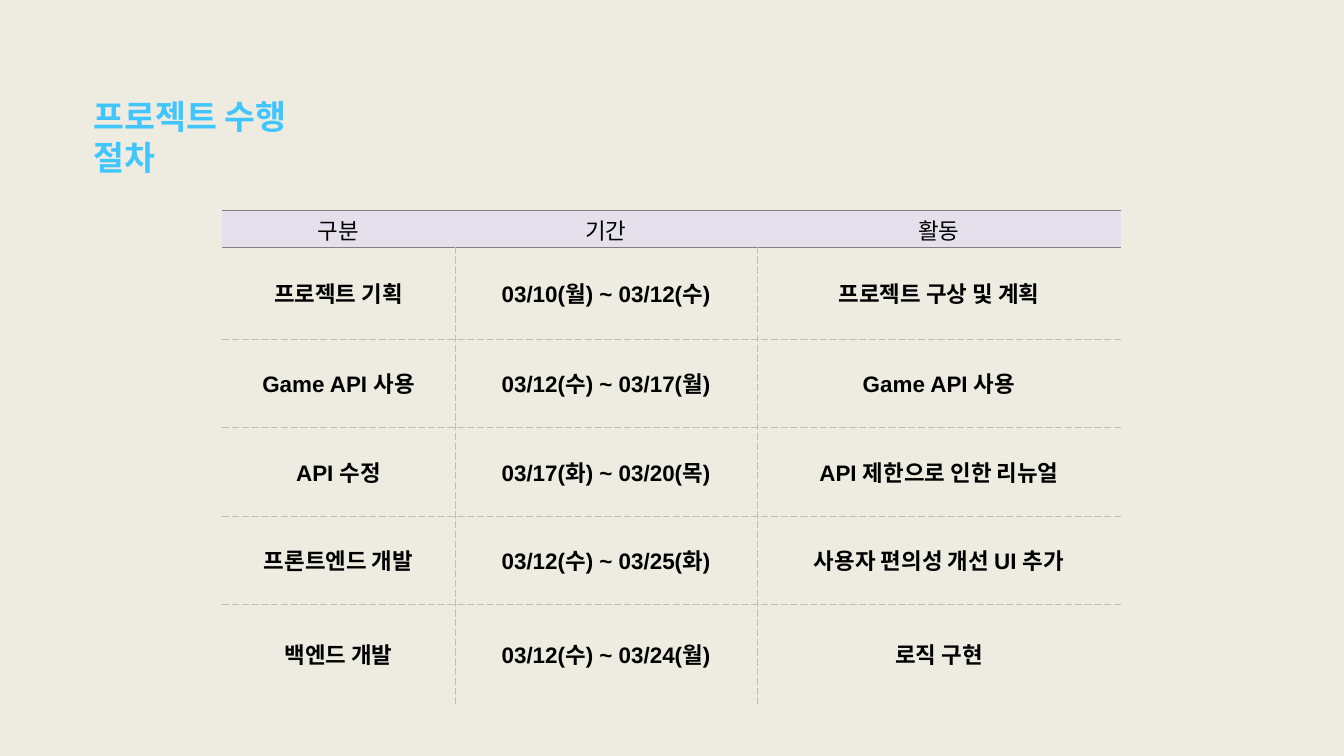
from dataclasses import dataclass
from typing import Optional

from lxml import etree
from pptx import Presentation
from pptx.dml.color import RGBColor
from pptx.enum.text import MSO_ANCHOR as Anchor, MSO_AUTO_SIZE as AutoSize, PP_ALIGN as Align
from pptx.oxml.ns import qn
from pptx.util import Emu, Pt

SLIDE_W, SLIDE_H = 1344, 756
EMU_PER_PX = 20 * 914400 / SLIDE_W
FONT = "Arial"
COLORS = {
    "background": "EEECE1",
    "title": "41C5FF",
    "header": "E6E0EC",
    "text": "000000",
    "rule": "808080",
    "grid": "BFBFBF",
}


@dataclass(frozen=True)
class Border:
    color: str
    dash: str


@dataclass(frozen=True)
class Step:
    name: str
    period: str
    activity: str
    height: int


RULE = Border("rule", "solid")
GRID = Border("grid", "sysDash")
COLUMN_WIDTHS = (233, 302, 364)
STEPS = [
    Step("구분", "기간", "활동", 37),
    Step("프로젝트 기획", "03/10(월) ~ 03/12(수)", "프로젝트 구상 및 계획", 92),
    Step("Game API 사용", "03/12(수) ~ 03/17(월)", "Game API 사용", 88),
    Step("API 수정", "03/17(화) ~ 03/20(목)", "API 제한으로 인한 리뉴얼", 89),
    Step("프론트엔드 개발", "03/12(수) ~ 03/25(화)", "사용자 편의성 개선 UI 추가", 88),
    Step("백엔드 개발", "03/12(수) ~ 03/24(월)", "로직 구현", 100),
]


def px(n: int) -> Emu:
    return Emu(round(n * EMU_PER_PX))


def rgb(name: str) -> RGBColor:
    return RGBColor.from_string(COLORS[name])


def add_run(p, text: str, size: int, color: str, bold: bool) -> None:
    r = p.add_run()
    r.text = text
    r.font.name = FONT
    r.font.size = Pt(size)
    r.font.bold = bold
    r.font.color.rgb = rgb(color)


def set_border(cell, side: str, border: Optional[Border]) -> None:
    """Draw one cell side (L, R, T or B), or clear it when border is None."""
    ln = etree.SubElement(cell._tc.get_or_add_tcPr(), qn(f"a:ln{side}"), w=str(Pt(1)))
    if border is None:
        etree.SubElement(ln, qn("a:noFill"))
        return
    fill = etree.SubElement(ln, qn("a:solidFill"))
    etree.SubElement(fill, qn("a:srgbClr"), val=COLORS[border.color])
    etree.SubElement(ln, qn("a:prstDash"), val=border.dash)


def horizontal_border(edge: int) -> Optional[Border]:
    """Border on a row edge, counted from 0 at the top of the table."""
    if edge == len(STEPS):
        return None
    return RULE if edge < 2 else GRID


def vertical_border(edge: int, row: int) -> Optional[Border]:
    """Border on a column edge: only inside the table and below the header."""
    return GRID if row > 0 and 0 < edge < len(COLUMN_WIDTHS) else None


def fill_cell(cell, text: str, row: int, col: int) -> None:
    set_border(cell, "L", vertical_border(col, row))
    set_border(cell, "R", vertical_border(col + 1, row))
    set_border(cell, "T", horizontal_border(row))
    set_border(cell, "B", horizontal_border(row + 1))
    if row == 0:
        cell.fill.solid()
        cell.fill.fore_color.rgb = rgb("header")
    else:
        cell.fill.background()
    cell.vertical_anchor = Anchor.MIDDLE
    p = cell.text_frame.paragraphs[0]
    p.alignment = Align.CENTER
    add_run(p, text, 24, "text", bold=row > 0)


def add_title(s, text: str) -> None:
    tf = s.shapes.add_textbox(px(87), px(93), px(270), px(88)).text_frame
    tf.word_wrap = True
    tf.auto_size = AutoSize.SHAPE_TO_FIT_TEXT
    add_run(tf.paragraphs[0], text, 36, "title", bold=True)


def add_schedule(s) -> None:
    height = sum(step.height for step in STEPS)
    table = s.shapes.add_table(
        len(STEPS), len(COLUMN_WIDTHS), px(222), px(210), px(sum(COLUMN_WIDTHS)), px(height)
    ).table
    table.first_row = False
    table.horz_banding = False
    for column, width in zip(table.columns, COLUMN_WIDTHS):
        column.width = px(width)
    for row, step in enumerate(STEPS):
        table.rows[row].height = px(step.height)
        for col, text in enumerate((step.name, step.period, step.activity)):
            fill_cell(table.cell(row, col), text, row, col)


def main() -> None:
    prs = Presentation()
    prs.slide_width, prs.slide_height = px(SLIDE_W), px(SLIDE_H)
    s = prs.slides.add_slide(prs.slide_layouts[6])
    s.background.fill.solid()
    s.background.fill.fore_color.rgb = rgb("background")
    add_title(s, "프로젝트 수행 절차")
    add_schedule(s)
    prs.save("out.pptx")


if __name__ == "__main__":
    main()
